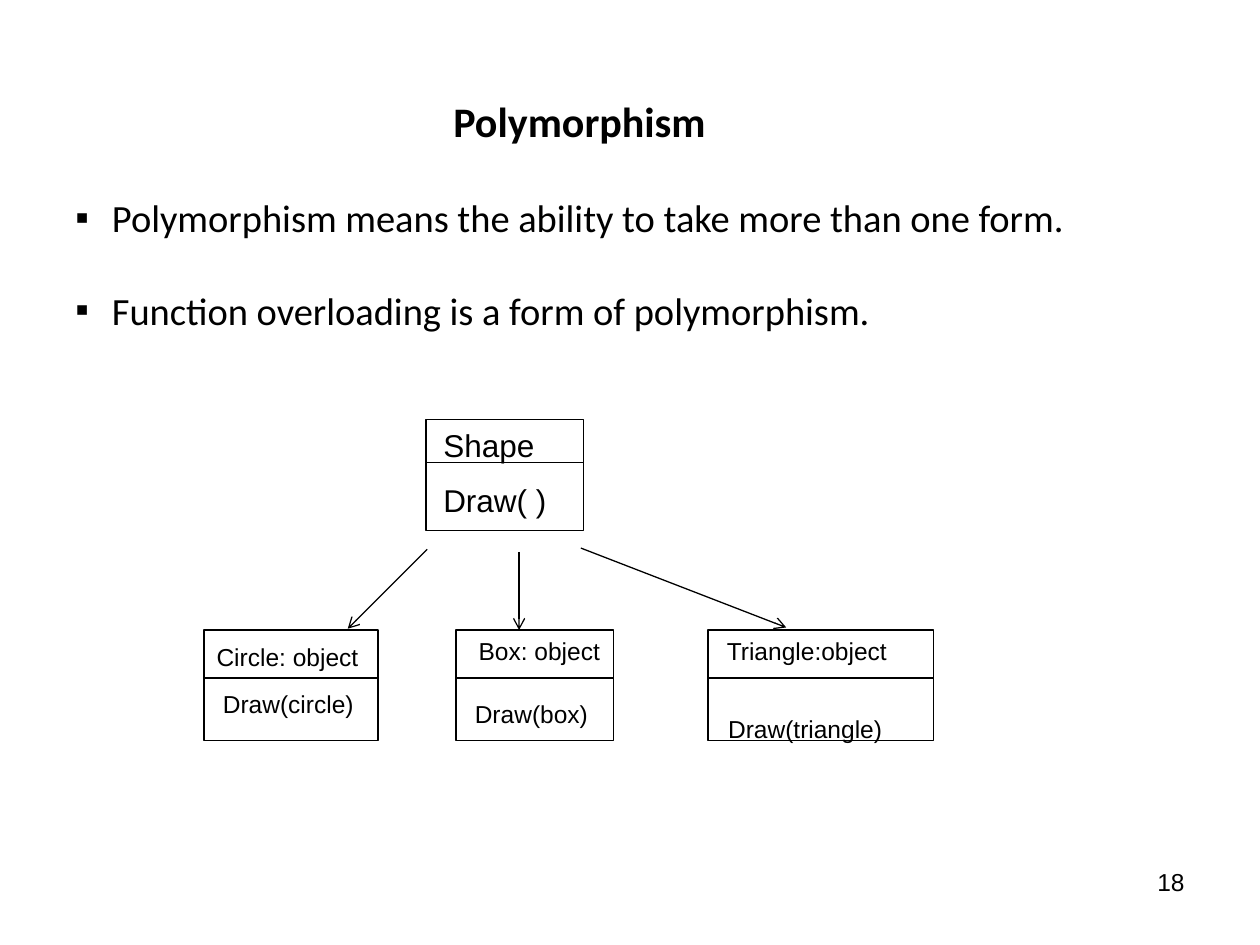
"""Build the slide that explains polymorphism with a small class diagram."""
from dataclasses import dataclass
from typing import Any

from lxml import etree
from pptx import Presentation
from pptx import util as u
from pptx.dml.color import RGBColor
from pptx.enum import shapes, text
from pptx.oxml import ns

BLACK, WHITE = "000000", "FFFFFF"
BOX_HEIGHT = 0.88


@dataclass(frozen=True)
class Label:
    words: str
    left: float
    top: float
    width: float


@dataclass(frozen=True)
class ClassBox:
    left: float
    top: float
    width: float
    divider: float
    size: int
    labels: tuple[Label, ...]


@dataclass(frozen=True)
class Line:
    start: tuple[float, float]
    end: tuple[float, float]
    arrow: bool = False


BULLETS = (
    "Polymorphism means the ability to take more than one form.",
    "Function overloading is a form of polymorphism.",
)
CLASS_BOXES = (
    ClassBox(3.38, 3.33, 1.25, 0.34, 18, (
        Label("Shape", 3.42, 3.33, 0.99), Label("Draw( )", 3.42, 3.77, 1.1))),
    ClassBox(1.62, 5, 1.38, 0.38, 14, (
        Label("Circle: object", 1.62, 5.05, 1.38),
        Label("Draw(circle)", 1.67, 5.42, 1.29))),
    ClassBox(3.62, 5, 1.25, 0.38, 14, (
        Label("Box: object", 3.7, 5, 1.22),
        Label("Draw(box)", 3.67, 5.5, 1.17))),
    ClassBox(5.62, 5, 1.79, 0.38, 14, (
        Label("Triangle:object", 5.67, 5, 1.6),
        Label("Draw(triangle)", 5.68, 5.62, 1.48))),
)
ARROWS = (
    Line((3.39, 4.36), (2.76, 4.99), True),
    Line((4.12, 4.38), (4.12, 5), True),
    Line((4.61, 4.35), (6.24, 4.98), True),
)


def color(value: str) -> RGBColor:
    """Turn a hex string into a colour."""
    return RGBColor.from_string(value)


def set_values(target: Any, values: dict[str, Any]) -> None:
    """Set every attribute named in a dict of format values."""
    for name, value in values.items():
        setattr(target, name, value)


def format_font(paragraph: Any, name: str, size: int, bold: bool = False) -> None:
    """Give a paragraph its font, size, weight and black colour."""
    set_values(paragraph.font, {"name": name, "size": u.Pt(size), "bold": bold})
    paragraph.font.color.rgb = color(BLACK)


def add_text(slide: Any, label: Label, height: float, size: int) -> Any:
    """Add a one-line Arial text box and return its paragraph."""
    shape = slide.shapes.add_textbox(
        *map(u.Inches, (label.left, label.top, label.width, height)))
    shape.text_frame.word_wrap = True
    paragraph = shape.text_frame.paragraphs[0]
    paragraph.text = label.words
    format_font(paragraph, "Arial", size)
    return paragraph


def add_line(slide: Any, line: Line) -> None:
    """Draw a thin black line, with an arrowhead when asked."""
    connector = slide.shapes.add_connector(
        shapes.MSO_CONNECTOR.STRAIGHT, *map(u.Inches, line.start + line.end))
    connector.line.width = u.Pt(0.75)
    connector.line.color.rgb = color(BLACK)
    if line.arrow:
        outline = connector.line._get_or_add_ln()
        etree.SubElement(outline, ns.qn("a:tailEnd"), type="arrow")
    etree.SubElement(connector._element.spPr, ns.qn("a:effectLst"))


def add_class_box(slide: Any, box: ClassBox) -> None:
    """Draw a class rectangle with its divider and two labels."""
    shape = slide.shapes.add_shape(
        shapes.MSO_SHAPE.RECTANGLE,
        *map(u.Inches, (box.left, box.top, box.width, BOX_HEIGHT)))
    shape.shadow.inherit = False
    shape.fill.solid()
    shape.fill.fore_color.rgb = color(WHITE)
    shape.line.color.rgb = color(BLACK)
    shape.line.width = u.Pt(0.75)
    middle = box.top + box.divider
    add_line(slide, Line((box.left, middle), (box.left + box.width, middle)))
    for label in box.labels:
        add_text(slide, label, 0.4 if box.size == 18 else 0.33, box.size)


def add_title(slide: Any) -> None:
    """Place and format the title."""
    title = slide.shapes.title
    set_values(title, {"left": u.Inches(0.46), "top": u.Inches(0.71),
                       "width": u.Inches(8.28), "height": u.Inches(0.5)})
    title.text_frame.text = "Polymorphism"
    set_values(title.text_frame, {"vertical_anchor": text.MSO_ANCHOR.TOP,
                                  "word_wrap": True,
                                  "auto_size": text.MSO_AUTO_SIZE.NONE})
    paragraph = title.text_frame.paragraphs[0]
    paragraph.alignment = text.PP_ALIGN.CENTER
    format_font(paragraph, "Calibri", 24, True)


def add_bullets(slide: Any) -> None:
    """Add the bulleted statements."""
    shape = slide.shapes.add_textbox(
        *map(u.Inches, (0.5, 1.49, 8.28, 1.25)))
    frame = shape.text_frame
    frame.word_wrap = True
    for index, words in enumerate(BULLETS):
        paragraph = frame.add_paragraph() if index else frame.paragraphs[0]
        paragraph.text = words
        properties = paragraph._p.get_or_add_pPr()
        indent = u.Inches(0.29)
        properties.set("marL", str(indent))
        properties.set("indent", str(-indent))
        etree.SubElement(properties, ns.qn("a:buFont"), typeface="Arial")
        etree.SubElement(properties, ns.qn("a:buChar"), char="▪")
        if index:
            paragraph.space_before = u.Pt(26.5)
        format_font(paragraph, "Calibri", 22)


def main() -> None:
    """Build and save the presentation."""
    presentation = Presentation()
    set_values(presentation, {"slide_width": u.Inches(10),
                              "slide_height": u.Inches(7.5)})
    slide = presentation.slides.add_slide(presentation.slide_layouts[5])
    add_title(slide)
    add_bullets(slide)
    for box in CLASS_BOXES:
        add_class_box(slide, box)
    for arrow in ARROWS:
        add_line(slide, arrow)
    number = add_text(slide, Label("18", 7.17, 6.83, 2.33), 0.52, 14)
    number.alignment = text.PP_ALIGN.RIGHT
    presentation.save("out.pptx")


if __name__ == "__main__":
    main()
